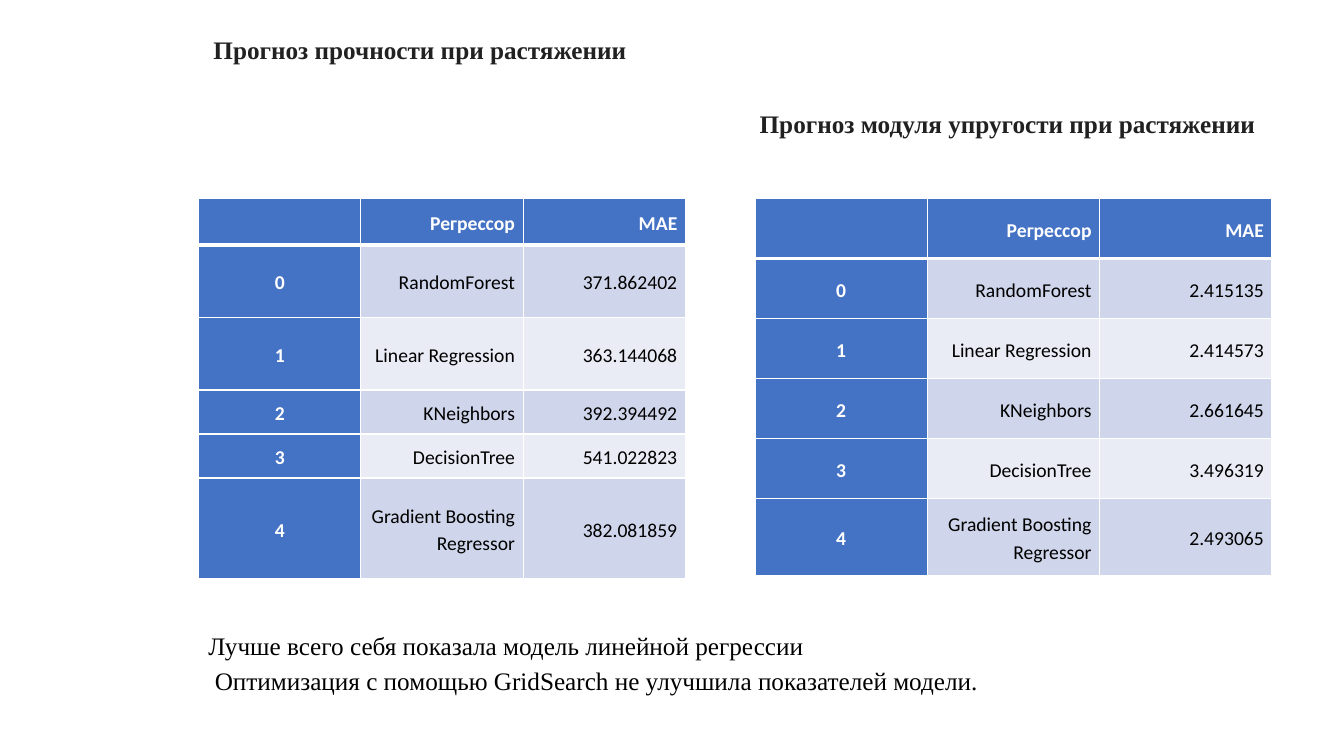
import pptx
import pptx.util
import pptx.dml.color
import pptx.enum.text
import pptx.oxml.ns
import lxml.etree

RGBColor = pptx.dml.color.RGBColor
Align = pptx.enum.text.PP_ALIGN
Anchor = pptx.enum.text.MSO_ANCHOR

BLUE = RGBColor(0x44, 0x72, 0xC4)
BAND_DARK = RGBColor(0xCF, 0xD5, 0xEA)
BAND_LIGHT = RGBColor(0xE9, 0xEB, 0xF5)
WHITE = RGBColor(0xFF, 0xFF, 0xFF)
BLACK = RGBColor(0, 0, 0)
HEADING = RGBColor(0x21, 0x21, 0x21)

SLIDE_WIDTH = pptx.util.Inches(13.33)
SLIDE_HEIGHT = pptx.util.Inches(7.5)
COLUMNS, ROWS = 160, 90

TABLE_TOP = 23.64
REGRESSORS = ["RandomForest", "Linear Regression", "KNeighbors",
              "DecisionTree", "Gradient Boosting Regressor"]
STRENGTH_ERRORS = ["371.862402", "363.144068", "392.394492", "541.022823", "382.081859"]
MODULUS_ERRORS = ["2.415135", "2.414573", "2.661645", "3.496319", "2.493065"]

HEADING_FONT = {"name": "Times New Roman", "size": pptx.util.Pt(18), "bold": True}
NOTE_FONT = {"name": "Times New Roman", "size": pptx.util.Pt(18), "bold": False}
CELL_FONT = {"name": "Calibri", "size": pptx.util.Pt(14)}


def across(columns):
    return round(SLIDE_WIDTH * columns / COLUMNS)


def down(rows):
    return round(SLIDE_HEIGHT * rows / ROWS)


def apply_format(target, values):
    for name, value in values.items():
        setattr(target, name, value)


def write_paragraph(paragraph, text, font, color, layout):
    run = paragraph.add_run()
    run.text = text
    apply_format(run.font, font)
    run.font.color.rgb = color
    apply_format(paragraph, layout)


def add_text(slide, left, top, width, height, lines, font, color, layout, anchor):
    shape = slide.shapes.add_textbox(across(left), down(top), across(width), down(height))
    frame = shape.text_frame
    apply_format(frame, {"word_wrap": True, "vertical_anchor": anchor})
    for index, line in enumerate(lines):
        paragraph = frame.add_paragraph() if index else frame.paragraphs[0]
        write_paragraph(paragraph, line, font, color, layout)


def add_heading(slide, left, top, width, height, text):
    add_text(slide, left, top, width, height, [text], HEADING_FONT, HEADING,
             {"alignment": Align.CENTER, "line_spacing": 0.9}, Anchor.MIDDLE)


def set_borders(cell, row):
    properties = cell._tc.get_or_add_tcPr()
    widths = {"lnL": 1, "lnR": 1, "lnT": 3 if row == 1 else 1, "lnB": 3 if row == 0 else 1}
    for position, (side, width) in enumerate(widths.items()):
        line = lxml.etree.Element(pptx.oxml.ns.qn("a:" + side), w=str(pptx.util.Pt(width)))
        fill = lxml.etree.SubElement(line, pptx.oxml.ns.qn("a:solidFill"))
        lxml.etree.SubElement(fill, pptx.oxml.ns.qn("a:srgbClr"), val=str(WHITE))
        properties.insert(position, line)


def fill_cell(cell, text, row, column):
    heading = row == 0 or column == 0
    margin = pptx.util.Inches(0.08)
    apply_format(cell, {"vertical_anchor": Anchor.MIDDLE, "margin_left": margin,
                        "margin_right": margin, "margin_top": margin,
                        "margin_bottom": margin})
    cell.fill.solid()
    cell.fill.fore_color.rgb = BLUE if heading else BAND_DARK if row % 2 else BAND_LIGHT
    set_borders(cell, row)
    if text:
        alignment = Align.RIGHT if column else Align.CENTER
        write_paragraph(cell.text_frame.paragraphs[0], text, {**CELL_FONT, "bold": heading},
                        WHITE if heading else BLACK,
                        {"alignment": alignment, "line_spacing": 1.15})


def add_error_table(slide, left, column_width, row_heights, errors):
    records = [("", "Регрессор", "MAE")]
    records += [(str(index), *pair) for index, pair in enumerate(zip(REGRESSORS, errors))]
    table = slide.shapes.add_table(len(records), 3, across(left), down(TABLE_TOP),
                                   across(column_width * 3), down(sum(row_heights))).table
    for column in table.columns:
        column.width = across(column_width)
    for row, record in enumerate(records):
        table.rows[row].height = down(row_heights[row])
        for column, text in enumerate(record):
            fill_cell(table.cell(row, column), text, row, column)


def main():
    presentation = pptx.Presentation()
    apply_format(presentation, {"slide_width": SLIDE_WIDTH, "slide_height": SLIDE_HEIGHT})
    slide = presentation.slides.add_slide(presentation.slide_layouts[6])
    add_heading(slide, 20, 4, 60, 4.32, "Прогноз прочности при растяжении")
    add_heading(slide, 88.32, 12.72, 63.24, 4.32, "Прогноз модуля упругости при растяжении")
    add_error_table(slide, 23.64, 19.32, [5.24, 8.64, 8.64, 5.24, 5.24, 12], STRENGTH_ERRORS)
    add_error_table(slide, 89.88, 20.52, [7.15] * 5 + [9.1], MODULUS_ERRORS)
    add_text(slide, 23.64, 73.92, 127.8, 9.24,
             ["Лучше всего себя показала модель линейной регрессии",
              " Оптимизация с помощью GridSearch не улучшила показателей модели."],
             NOTE_FONT, BLACK, {"line_spacing": 1.15}, Anchor.TOP)
    presentation.save("out.pptx")


if __name__ == "__main__":
    main()
